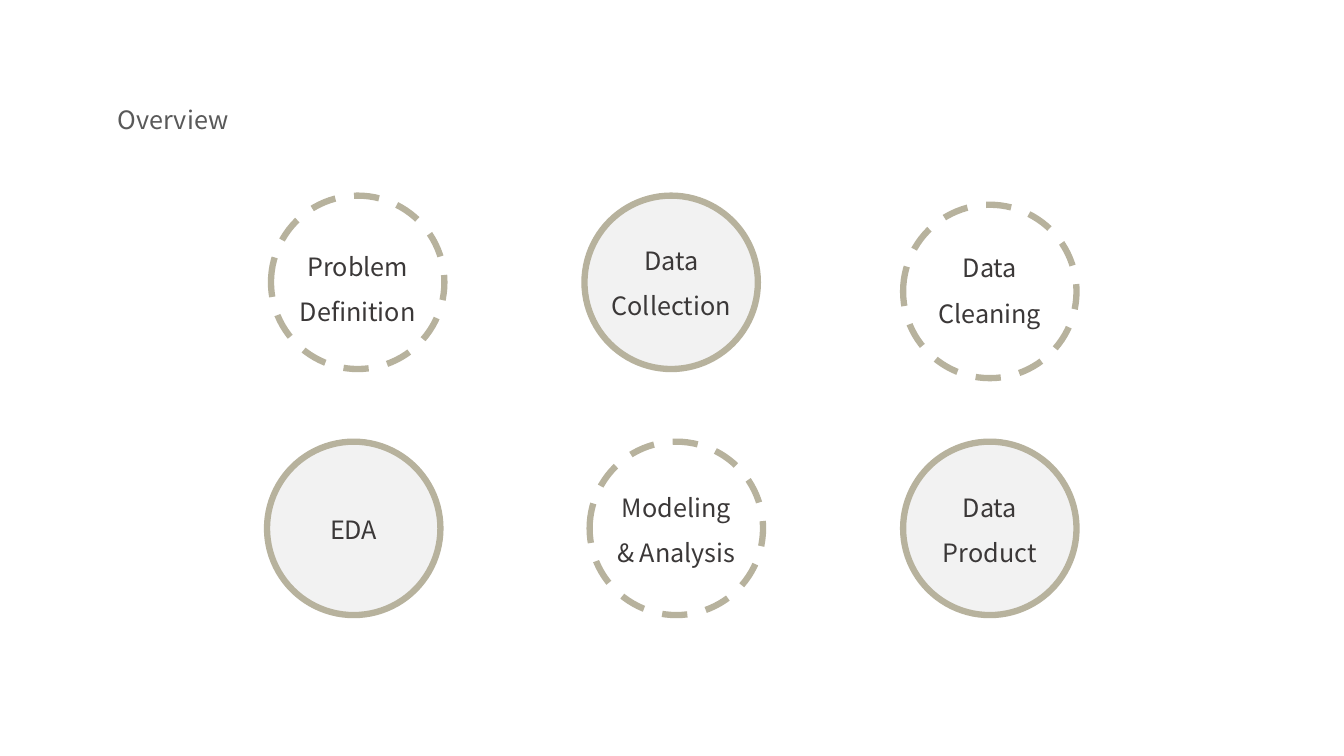
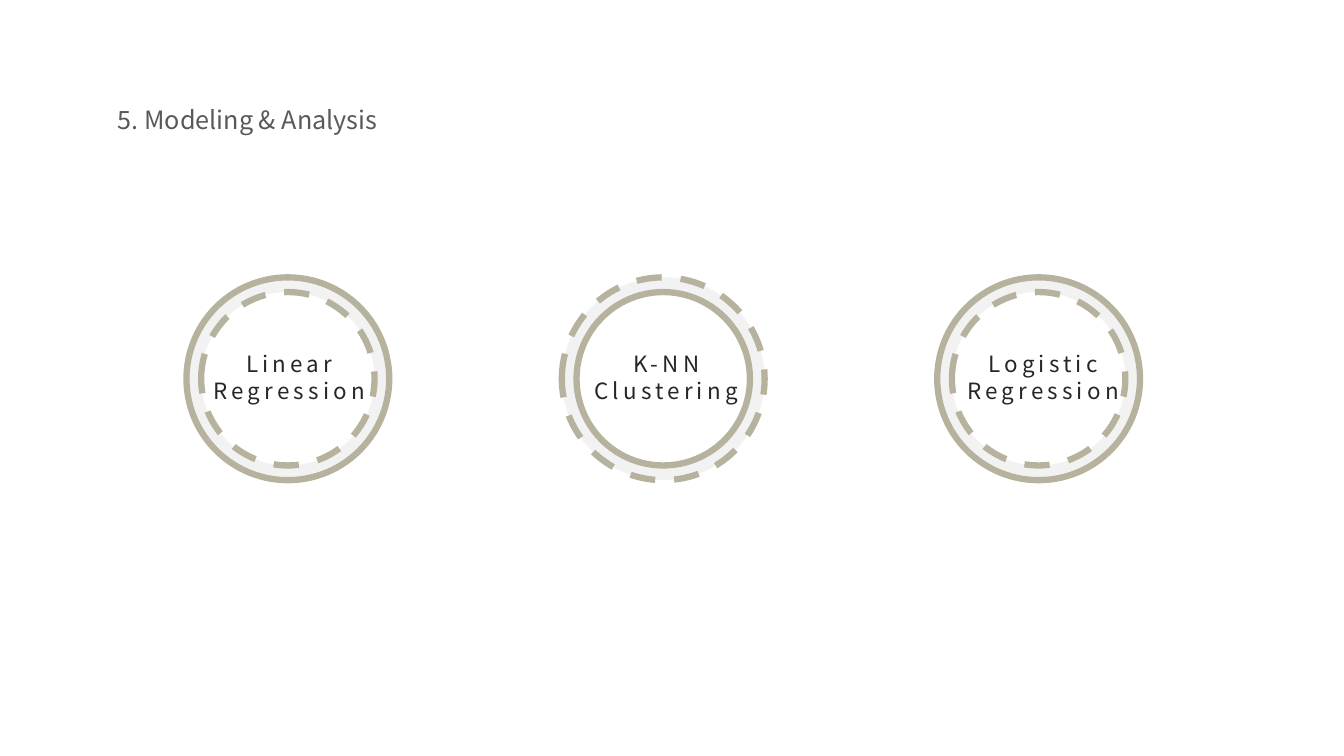
"""Builds a two-slide data project deck: process overview and modeling methods."""
from dataclasses import dataclass

from pptx import Presentation
from pptx.dml.color import RGBColor
from pptx.enum.dml import MSO_LINE
from pptx.enum.shapes import MSO_SHAPE
from pptx.enum.text import MSO_ANCHOR, PP_ALIGN
from pptx.util import Cm, Pt

OVAL = MSO_SHAPE.OVAL
DASH = MSO_LINE.DASH
TOP, MIDDLE = MSO_ANCHOR.TOP, MSO_ANCHOR.MIDDLE
LEFT, CENTER = PP_ALIGN.LEFT, PP_ALIGN.CENTER


@dataclass(frozen=True)
class Theme:
    """Colours, type sizes and circle sizes shared by the slides."""
    font: str = "Noto Sans CJK KR"
    background: str = "FFFFFF"
    tint: str = "F2F2F2"
    ring: str = "B7B29D"
    title: str = "595959"
    step: str = "3B3838"
    method: str = "262626"
    title_size: float = 18
    step_size: float = 18
    method_size: float = 16
    ring_width: float = 4.5
    circle: float = 4.37
    outer_circle: float = 5.11


THEME = Theme()

STEPS = (
    (("Problem", "Definition"), 6.83, 4.93, 0.96, True),
    (("Data", "Collection"), 14.73, 4.93, 0.81, False),
    (("Data", "Cleaning"), 22.76, 5.16, 0.76, True),
    (("EDA",), 6.73, 11.13, 0.81, False),
    (("Modeling & Analysis",), 14.86, 11.13, 0.83, True),
    (("Data", "Product"), 22.76, 11.13, 0.83, False),
)

METHODS = (
    ("Linear", "Regression"),
    ("K-NN", "Clustering"),
    ("Logistic", "Regression"),
)


def add_text(slide, lines, box, size, color, align=CENTER, anchor=TOP,
             line_spacing=None, tracking=None):
    """Add a wrapped text box with one paragraph per line."""
    frame = slide.shapes.add_textbox(*(Cm(length) for length in box)).text_frame
    frame.word_wrap = True
    frame.vertical_anchor = anchor
    for index, line in enumerate(lines):
        paragraph = frame.add_paragraph() if index else frame.paragraphs[0]
        paragraph.alignment = align
        if line_spacing:
            paragraph.line_spacing = line_spacing
        run = paragraph.add_run()
        run.text = line
        run.font.name = THEME.font
        run.font.size = Pt(size)
        run.font.color.rgb = RGBColor.from_string(color)
        if tracking:
            run.font._element.set("spc", str(tracking * 100))


def add_circle(slide, left, top, diameter, fill, dashed):
    """Add a filled circle with a solid or dashed ring."""
    circle = slide.shapes.add_shape(
        OVAL, Cm(left), Cm(top), Cm(diameter), Cm(diameter))
    circle.shadow.inherit = False
    circle.fill.solid()
    circle.fill.fore_color.rgb = RGBColor.from_string(fill)
    circle.line.color.rgb = RGBColor.from_string(THEME.ring)
    circle.line.width = Pt(THEME.ring_width)
    if dashed:
        circle.line.dash_style = DASH


def add_titled_slide(deck, title):
    """Add a blank slide with the shared background and title."""
    slide = deck.slides.add_slide(deck.slide_layouts[6])
    slide.background.fill.solid()
    slide.background.fill.fore_color.rgb = RGBColor.from_string(THEME.background)
    add_text(slide, (title,), (2.72, 2.51, 11.05, 1.02),
             THEME.title_size, THEME.title, align=LEFT)
    return slide


def add_step(slide, lines, left, top, label_drop, dashed):
    """Add one process step: a circle with a centred label."""
    label_width, label_height = 3.58, 2.41
    fill = THEME.background if dashed else THEME.tint
    add_circle(slide, left, top, THEME.circle, fill, dashed)
    add_text(slide, lines,
             (left + (THEME.circle - label_width) / 2, top + label_drop,
              label_width, label_height),
             THEME.step_size, THEME.step, anchor=MIDDLE, line_spacing=1.5)


def add_method(slide, lines, column):
    """Add one method: two nested circles, one of them dashed, and a label."""
    left, top = 4.7 + column * 9.46, 6.99
    inset = (THEME.outer_circle - THEME.circle) / 2
    outer_dashed = column % 2 == 1
    add_circle(slide, left, top, THEME.outer_circle, THEME.tint, outer_dashed)
    add_circle(slide, left + inset, top + inset, THEME.circle,
               THEME.background, not outer_dashed)
    add_text(slide, lines, (4.42 + column * 9.5, 8.69, 5.74, 1.63),
             THEME.method_size, THEME.method, tracking=3)


def main():
    """Build both slides and save the deck."""
    deck = Presentation()
    deck.slide_width, deck.slide_height = Cm(33.87), Cm(19.05)
    overview = add_titled_slide(deck, "Overview")
    for step in STEPS:
        add_step(overview, *step)
    modeling = add_titled_slide(deck, "5. Modeling & Analysis")
    for column, lines in enumerate(METHODS):
        add_method(modeling, lines, column)
    deck.save("out.pptx")


if __name__ == "__main__":
    main()
